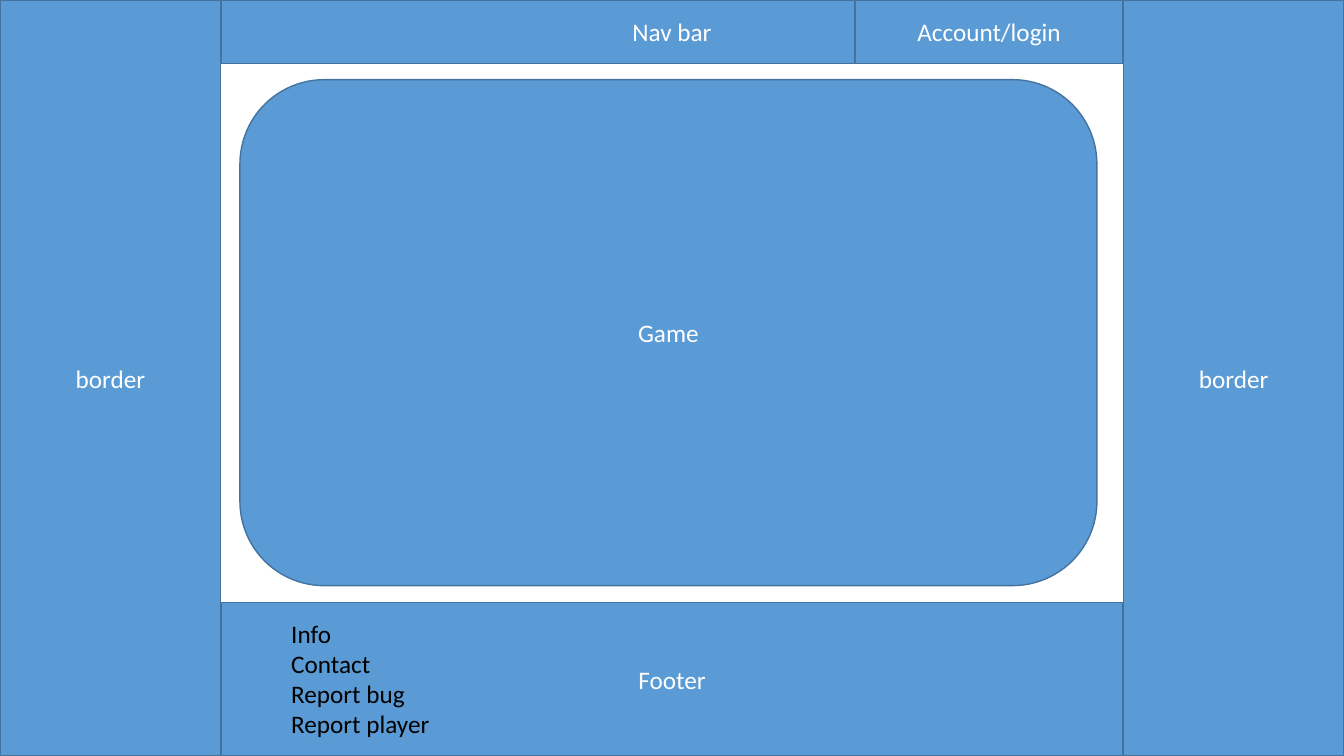
from dataclasses import dataclass

import pptx
import pptx.dml.color
import pptx.enum.shapes
import pptx.enum.text
import pptx.util

SHAPE = pptx.enum.shapes.MSO_SHAPE
ALIGN = pptx.enum.text.PP_ALIGN
ANCHOR = pptx.enum.text.MSO_ANCHOR
RGB = pptx.dml.color.RGBColor.from_string


@dataclass(frozen=True)
class Theme:
    panel: str = "5B9BD5"
    outline: str = "43739E"
    label: str = "FFFFFF"
    link: str = "000000"
    font: str = "Calibri"
    size: int = 18
    outline_width: int = 1


THEME = Theme()

# Page grid in inches: column and row edges
WIDTH, HEIGHT = 13.33, 7.5
BORDER = 2.19
RIGHT = WIDTH - BORDER
CONTENT = RIGHT - BORDER
NAV = 0.63
ACCOUNT = 2.66
FOOTER = 1.52


def inches(*lengths):
    return [pptx.util.Inches(length) for length in lengths]


def write_lines(frame, lines, color, align):
    frame.word_wrap = True
    font_format = {"name": THEME.font, "size": pptx.util.Pt(THEME.size)}
    for number, line in enumerate(lines):
        paragraph = frame.add_paragraph() if number else frame.paragraphs[0]
        paragraph.alignment = align
        run = paragraph.add_run()
        run.text = line
        for key, value in font_format.items():
            setattr(run.font, key, value)
        run.font.color.rgb = RGB(color)


def add_panel(slide, label, box, kind=SHAPE.RECTANGLE):
    panel = slide.shapes.add_shape(kind, *inches(*box))
    panel.shadow.inherit = False
    panel.fill.solid()
    panel.fill.fore_color.rgb = RGB(THEME.panel)
    panel.line.color.rgb = RGB(THEME.outline)
    panel.line.width = pptx.util.Pt(THEME.outline_width)
    panel.text_frame.vertical_anchor = ANCHOR.MIDDLE
    write_lines(panel.text_frame, [label], THEME.label, ALIGN.CENTER)


def add_links(slide, links, box):
    frame = slide.shapes.add_textbox(*inches(*box)).text_frame
    frame.auto_size = pptx.enum.text.MSO_AUTO_SIZE.SHAPE_TO_FIT_TEXT
    write_lines(frame, links, THEME.link, ALIGN.LEFT)


def main():
    deck = pptx.Presentation()
    deck.slide_width, deck.slide_height = inches(WIDTH, HEIGHT)
    slide = deck.slides.add_slide(deck.slide_layouts[6])

    # Side borders
    for left in (0, RIGHT):
        add_panel(slide, "border", (left, 0, BORDER, HEIGHT))

    # Page content between the borders
    add_panel(slide, "Nav bar", (BORDER, 0, CONTENT, NAV))
    add_panel(slide, "Game", (2.38, 0.79, 8.5, 5.02), SHAPE.ROUNDED_RECTANGLE)
    add_panel(slide, "Footer", (BORDER, HEIGHT - FOOTER, CONTENT, FOOTER))
    add_panel(slide, "Account/login", (RIGHT - ACCOUNT, 0, ACCOUNT, NAV))

    # Footer links
    links = ["Info", "Contact", "Report bug", "Report player"]
    add_links(slide, links, (2.79, 6.08, 2.23, 1.31))

    deck.save("out.pptx")


main()
